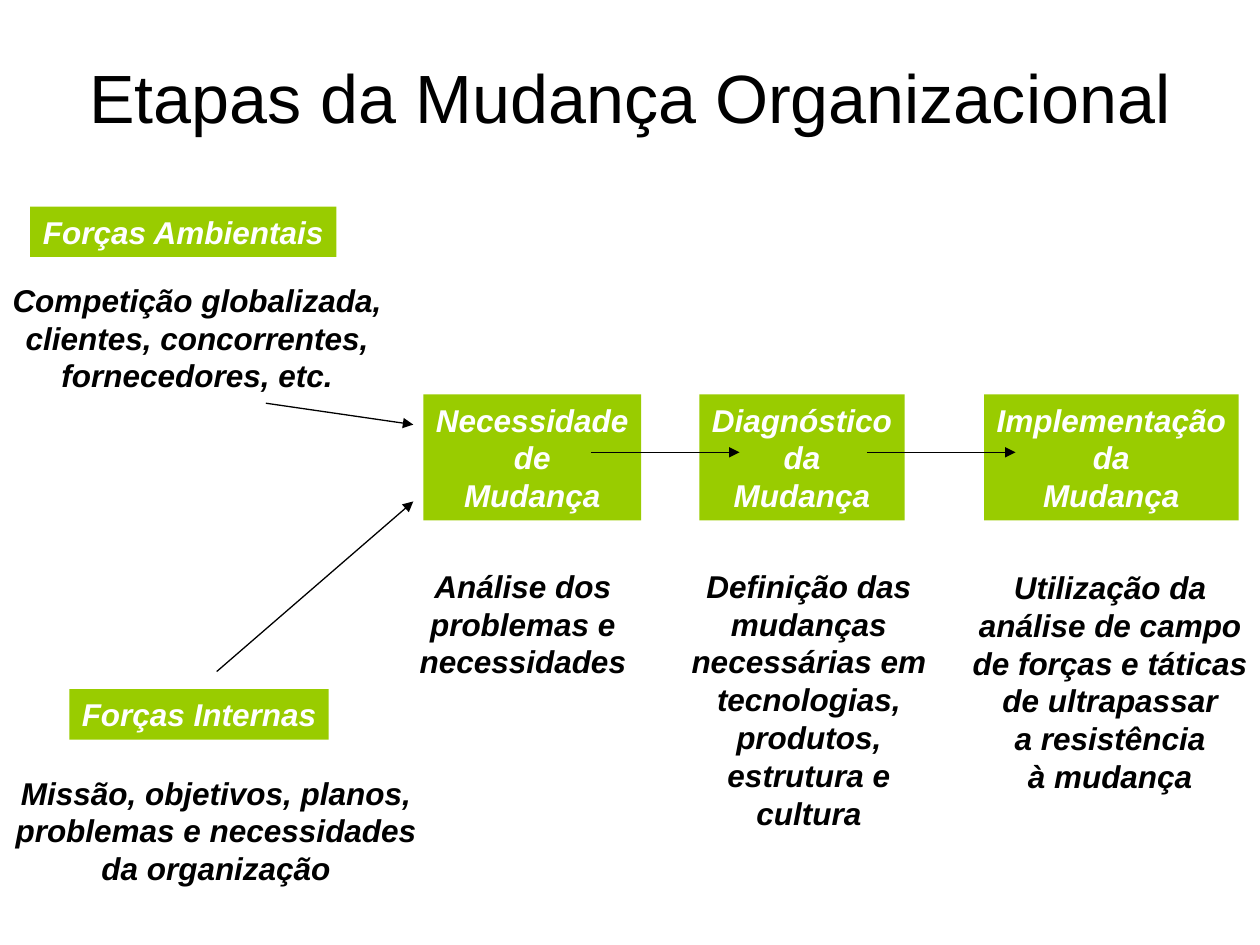
import pptx
import pptx.util
import pptx.dml.color
import pptx.enum.shapes
import pptx.enum.text
import pptx.oxml.ns
import lxml.etree

COLORS = {"box": "99CC00", "light": "FFFFFF", "dark": "000000"}
FONT = "Arial"
COLUMNS, ROWS = 100, 75
CELL = pptx.util.Inches(0.1)

STAGE_ROW, STAGE_HEIGHT = 31.3, 10
STAGES = [
    (33.6, 17.3, ["Necessidade", "de", "Mudança"]),
    (55.5, 16.3, ["Diagnóstico", "da", "Mudança"]),
    (78.1, 20.2, ["Implementação", "da", "Mudança"]),
]
FORCES = [
    (2.4, 16.4, 24.3, 4, ["Forças Ambientais"]),
    (5.5, 54.7, 20.6, 4, ["Forças Internas"]),
]
DESCRIPTIONS = [
    (0, 21.8, 31.3, 10, ["Competição globalizada,", "clientes, concorrentes,", "fornecedores, etc."]),
    (0, 60.9, 34.3, 10, ["Missão, objetivos, planos,", "problemas e necessidades", "da organização"]),
    (32.3, 44.5, 18.4, 10, ["Análise dos", "problemas e", "necessidades"]),
    (53.9, 44.5, 20.6, 22, ["Definição das", "mudanças", "necessárias em", "tecnologias,",
                            "produtos,", "estrutura e", "cultura"]),
    (76.2, 44.6, 23.8, 19, ["Utilização da", "análise de campo", "de forças e táticas",
                            "de ultrapassar", "a resistência", "à mudança"]),
]
FORCE_ARROWS = [(17.2, 53.3, 32.8, 39.8), (21.1, 32, 32.8, 33.7)]
STAGE_ARROW_STARTS = [46.9, 68.8]
STAGE_ARROW_ROW, STAGE_ARROW_LENGTH = 35.9, 11.8


def grid(*cells):
    return [round(cell * CELL) for cell in cells]


def rgb(name):
    return pptx.dml.color.RGBColor.from_string(COLORS[name])


def write_lines(text_frame, lines, size, color, emphasis):
    for index, line in enumerate(lines):
        paragraph = text_frame.paragraphs[0] if index == 0 else text_frame.add_paragraph()
        paragraph.alignment = pptx.enum.text.PP_ALIGN.CENTER
        run = paragraph.add_run()
        run.text = line
        run.font.name = FONT
        run.font.size = pptx.util.Pt(size)
        run.font.bold = run.font.italic = emphasis
        run.font.color.rgb = rgb(color)


def fit_label(shape, lines, color):
    text_frame = shape.text_frame
    text_frame.word_wrap = False
    text_frame.auto_size = pptx.enum.text.MSO_AUTO_SIZE.SHAPE_TO_FIT_TEXT
    write_lines(text_frame, lines, 18, color, True)


def add_box(slide, left, top, width, height, lines):
    shape = slide.shapes.add_shape(
        pptx.enum.shapes.MSO_SHAPE.RECTANGLE, *grid(left, top, width, height))
    shape.shadow.inherit = False
    shape.fill.solid()
    shape.fill.fore_color.rgb = rgb("box")
    shape.line.fill.background()
    fit_label(shape, lines, "light")


def add_description(slide, left, top, width, height, lines):
    shape = slide.shapes.add_textbox(*grid(left, top, width, height))
    fit_label(shape, lines, "dark")


def add_arrow(slide, start_x, start_y, end_x, end_y):
    connector = slide.shapes.add_connector(
        pptx.enum.shapes.MSO_CONNECTOR.STRAIGHT, *grid(start_x, start_y, end_x, end_y))
    connector.line.color.rgb = rgb("dark")
    connector.line.width = pptx.util.Pt(0.75)
    qualified = pptx.oxml.ns.qn
    line = connector.line._get_or_add_ln()
    lxml.etree.SubElement(line, qualified("a:tailEnd"), type="triangle")
    lxml.etree.SubElement(connector._element.spPr, qualified("a:effectLst"))


def set_title(slide, text):
    title = slide.shapes.title
    title.left, title.top, title.width, title.height = grid(0, 0, COLUMNS, 15.3)
    title.text_frame.auto_size = pptx.enum.text.MSO_AUTO_SIZE.NONE
    title.text_frame.vertical_anchor = pptx.enum.text.MSO_ANCHOR.MIDDLE
    write_lines(title.text_frame, [text], 39, "dark", False)


def main():
    presentation = pptx.Presentation()
    presentation.slide_width, presentation.slide_height = grid(COLUMNS, ROWS)
    slide = presentation.slides.add_slide(presentation.slide_layouts[5])
    set_title(slide, "Etapas da Mudança Organizacional")
    for force in FORCES:
        add_box(slide, *force)
    for left, width, lines in STAGES:
        add_box(slide, left, STAGE_ROW, width, STAGE_HEIGHT, lines)
    for description in DESCRIPTIONS:
        add_description(slide, *description)
    for arrow in FORCE_ARROWS:
        add_arrow(slide, *arrow)
    for start in STAGE_ARROW_STARTS:
        add_arrow(slide, start, STAGE_ARROW_ROW, start + STAGE_ARROW_LENGTH, STAGE_ARROW_ROW)
    presentation.save("out.pptx")


if __name__ == "__main__":
    main()
